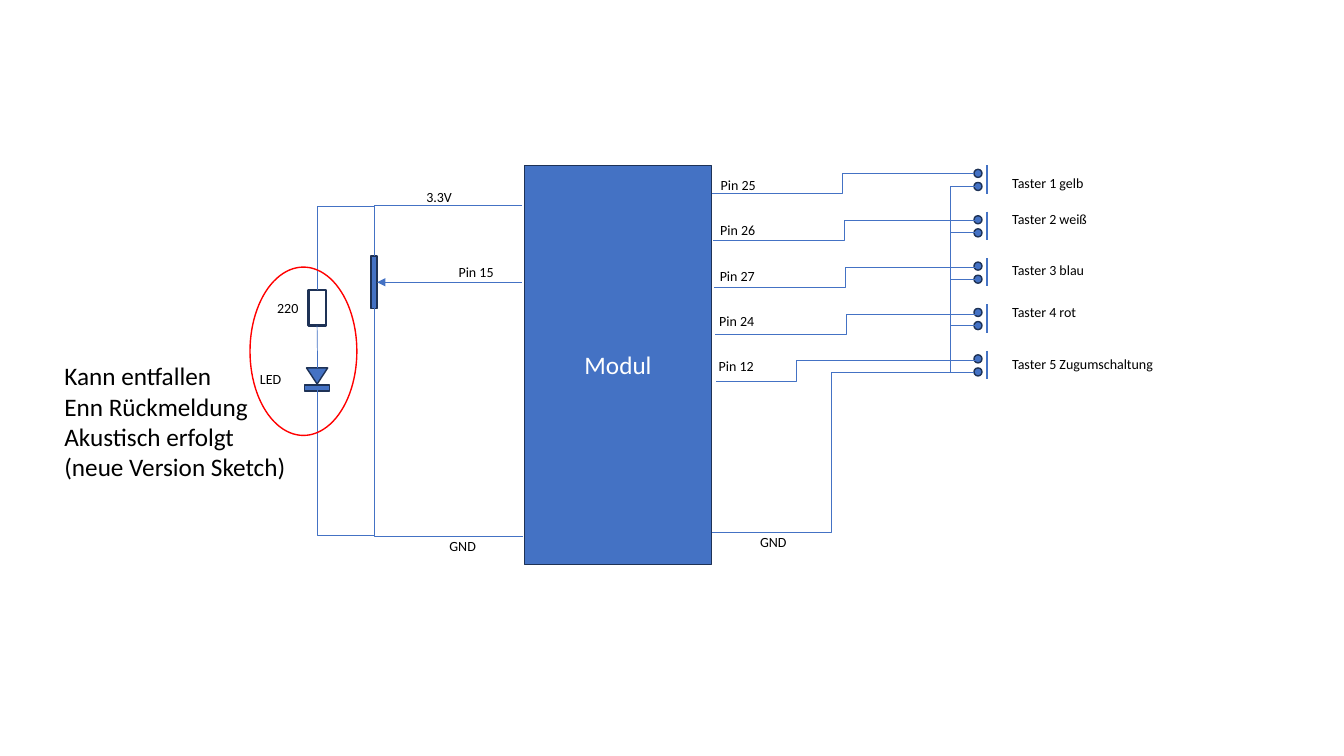
from lxml.etree import SubElement
from pptx import Presentation
from pptx.dml.color import RGBColor
from pptx.enum.shapes import MSO_CONNECTOR as CONNECTOR, MSO_SHAPE as SHAPE
from pptx.enum.text import MSO_ANCHOR as ANCHOR, MSO_AUTO_SIZE as AUTO_SIZE, PP_ALIGN as ALIGN
from pptx.oxml.ns import qn
from pptx.util import Inches, Pt

BLUE = RGBColor(0x44, 0x72, 0xC4)
NAVY = RGBColor(0x1E, 0x32, 0x56)
RED = RGBColor(0xFF, 0x00, 0x00)
BLACK = RGBColor(0x00, 0x00, 0x00)
WHITE = RGBColor(0xFF, 0xFF, 0xFF)

BUTTONS = [
    ("Pin 25", "Taster 1 gelb", 1.68, 8.36),
    ("Pin 26", "Taster 2 weiß", 2.04, 8.37),
    ("Pin 27", "Taster 3 blau", 2.55, 8.38),
    ("Pin 24", "Taster 4 rot", 2.96, 8.39),
    ("Pin 12", "Taster 5 Zugumschaltung", 3.48, 7.9),
]
BUTTON_PITCH = 0.46
PIN_PITCH = 0.465
LABEL_PITCH = 0.45
BUS_X = 9.43


def write_text(frame, text, size=10, color=BLACK, align=ALIGN.LEFT):
    frame.text = text
    for paragraph in frame.paragraphs:
        paragraph.alignment = align
        font = paragraph.font
        font.name = "Calibri"
        font.size = Pt(size)
        font.color.rgb = color


def add_label(shapes, text, left, top, width=0.55, height=0.27, **text_format):
    box = shapes.add_textbox(Inches(left), Inches(top), Inches(width), Inches(height))
    write_text(box.text_frame, text, **text_format)
    box.text_frame.word_wrap = False
    box.text_frame.auto_size = AUTO_SIZE.SHAPE_TO_FIT_TEXT


def add_part(shapes, kind, left, top, width, height, fill=BLUE, line=NAVY, weight=1, rotation=0):
    shape = shapes.add_shape(kind, Inches(left), Inches(top), Inches(width), Inches(height))
    shape.shadow.inherit = False
    shape.rotation = rotation
    if fill is None:
        shape.fill.background()
    else:
        shape.fill.solid()
        shape.fill.fore_color.rgb = fill
    shape.line.color.rgb = line
    shape.line.width = Pt(weight)
    return shape


def add_wire(shapes, begin, end, bend_x=None, weight=0.5):
    kind = CONNECTOR.STRAIGHT if bend_x is None else CONNECTOR.ELBOW
    wire = shapes.add_connector(kind, *(Inches(value) for value in (*begin, *end)))
    wire.line.color.rgb = BLUE
    wire.line.width = Pt(weight)
    properties = wire._element.spPr
    SubElement(properties, qn("a:effectLst"))
    if bend_x is not None:
        ratio = (bend_x - begin[0]) / (end[0] - begin[0])
        adjustments = properties.find(qn("a:prstGeom")).find(qn("a:avLst"))
        SubElement(adjustments, qn("a:gd"), name="adj1", fmla=f"val {round(ratio * 100000)}")
    return wire


def add_button(shapes, top):
    button = shapes.add_group_shape().shapes
    for contact_top in (top + 0.04, top + 0.17):
        add_part(button, SHAPE.OVAL, 9.66, contact_top, 0.08, 0.08)
    add_wire(button, (9.79, top), (9.79, top + 0.28), weight=2)


def add_buttons(shapes):
    for index, (pin, name, name_top, bend_x) in enumerate(BUTTONS):
        add_button(shapes, 1.64 + index * BUTTON_PITCH)
        shift = index * 0.01
        wire_y = 1.72 + index * PIN_PITCH
        add_wire(shapes, (9.66 + shift, wire_y), (7.06 + shift, wire_y + 0.2), bend_x)
        add_label(shapes, pin, 7.05 - shift / 2, 1.7 + index * LABEL_PITCH)
        add_label(shapes, name, 9.94, name_top, width=1.63 if index == 4 else 0.94)
    for index in range(len(BUTTONS) - 1):
        ground_y = 1.85 + index * BUTTON_PITCH
        add_wire(shapes, (9.68, ground_y), (9.66, ground_y + BUTTON_PITCH), BUS_X)
    add_wire(shapes, (BUS_X, 3.69), (7.06, 5.28), 8.25)
    add_label(shapes, "GND", 7.44, 5.24, width=0.47)


def add_potentiometer(shapes):
    potentiometer = add_part(shapes, SHAPE.RECTANGLE, 3.68, 2.54, 0.06, 0.52)
    add_wire(shapes, (5.18, 2.04), (3.71, 2.54), 3.71)
    add_wire(shapes, (5.19, 5.32), (3.71, 3.06), 3.71)
    wiper = add_wire(shapes, (3.74, 2.8), (5.18, 2.8))
    wiper.begin_connect(potentiometer, 3)
    SubElement(wiper.line._get_or_add_ln(), qn("a:headEnd"), type="triangle")
    add_label(shapes, "GND", 4.36, 5.28, width=0.47)
    add_label(shapes, "3.3V", 4.13, 1.82, width=0.46)
    add_label(shapes, "Pin 15", 4.45, 2.57)


def add_led_branch(shapes):
    led = shapes.add_group_shape().shapes
    add_part(led, SHAPE.ISOSCELES_TRIANGLE, 3.04, 3.65, 0.21, 0.16, rotation=180)
    add_part(led, SHAPE.RECTANGLE, 3.02, 3.82, 0.25, 0.06)
    resistor = add_part(shapes, SHAPE.RECTANGLE, 3.06, 2.88, 0.17, 0.35, fill=None, weight=1.5)
    add_wire(shapes, (3.71, 2.05), (3.15, 2.88), 3.15)
    add_wire(shapes, (3.15, 3.23), (3.15, 3.65)).begin_connect(resistor, 2)
    add_wire(shapes, (3.71, 5.31), (3.15, 3.87), 3.15)
    add_label(shapes, "220", 2.65, 2.92, width=0.42)
    add_label(shapes, "LED", 2.48, 3.63, width=0.42)
    add_part(shapes, SHAPE.OVAL, 2.48, 2.65, 1.06, 1.67, fill=None, line=RED)
    note = "Kann entfallen\nEnn Rückmeldung\nAkustisch erfolgt\n(neue Version Sketch)"
    add_label(shapes, note, 0.54, 3.53, width=2.42, height=1.31, size=18)


def main():
    presentation = Presentation()
    presentation.slide_width = Inches(13.33)
    presentation.slide_height = Inches(7.5)
    shapes = presentation.slides.add_slide(presentation.slide_layouts[6]).shapes
    controller = add_part(shapes, SHAPE.RECTANGLE, 5.2, 1.64, 1.86, 3.96)
    write_text(controller.text_frame, "Modul", size=18, color=WHITE, align=ALIGN.CENTER)
    controller.text_frame.vertical_anchor = ANCHOR.MIDDLE
    add_buttons(shapes)
    add_potentiometer(shapes)
    add_led_branch(shapes)
    presentation.save("out.pptx")


if __name__ == "__main__":
    main()
